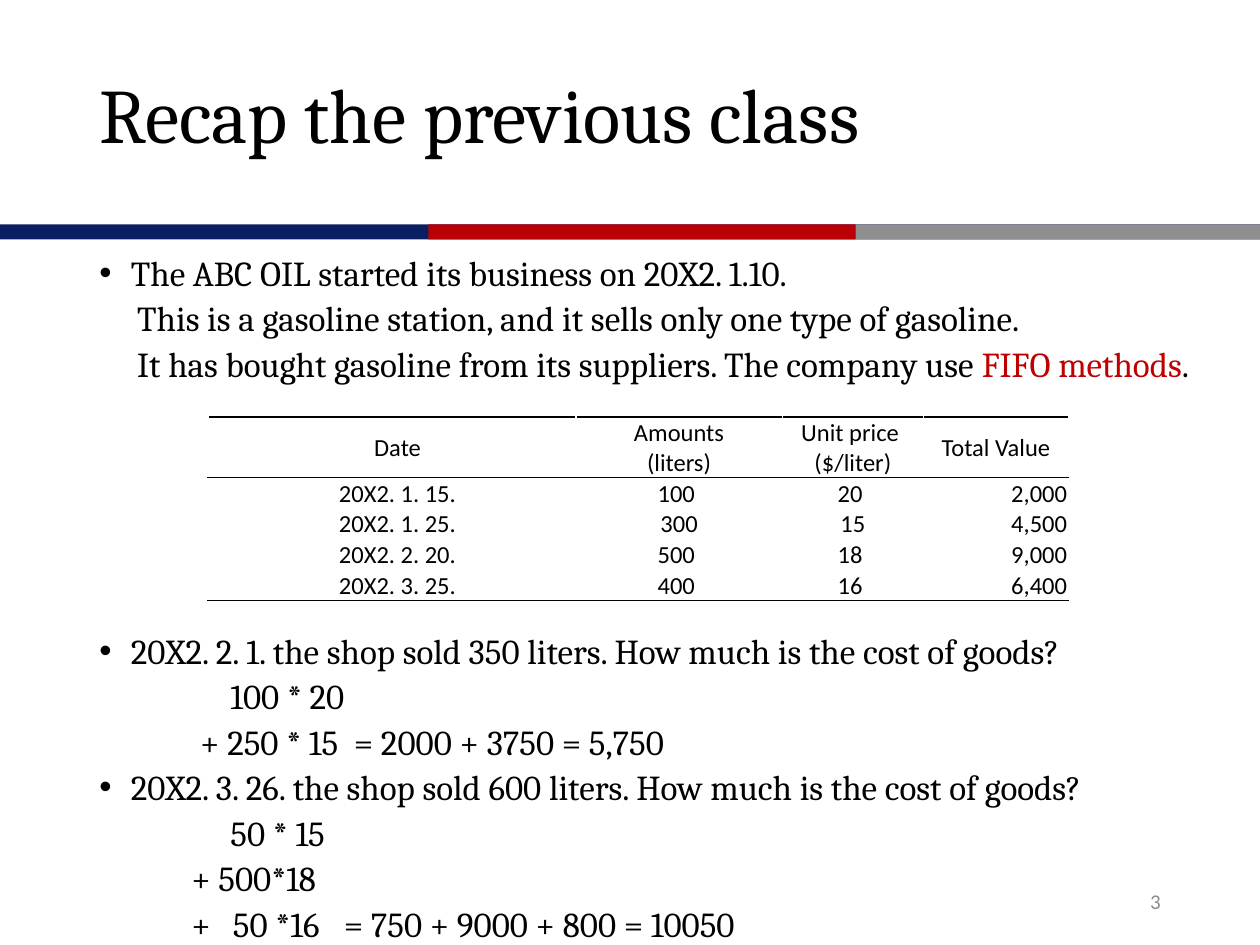
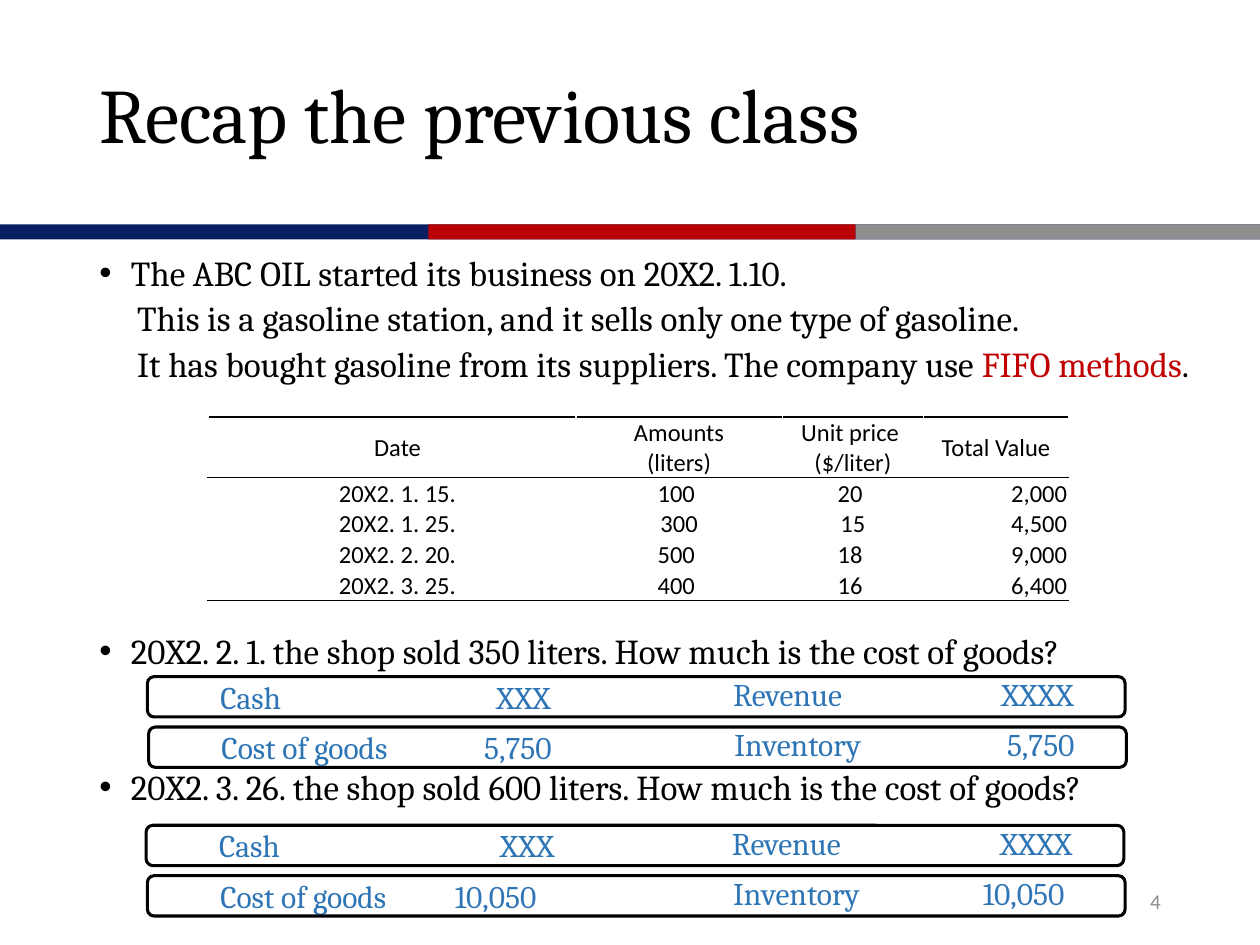
from dataclasses import dataclass
from typing import NamedTuple

from lxml.etree import SubElement as Sub
from pptx import Presentation
from pptx.dml.color import RGBColor as RGB
from pptx.enum.shapes import MSO_SHAPE as Form
from pptx.enum.text import MSO_ANCHOR as Anchor, PP_ALIGN as Align
from pptx.oxml.ns import qn
from pptx.util import Inches, Pt


@dataclass(frozen=True)
class Theme:
    serif: str = "Cambria"
    sans: str = "Calibri"
    black: str = "000000"
    white: str = "FFFFFF"
    navy: str = "0A1F62"
    red: str = "B90005"
    grey: str = "8F8F8F"
    hot: str = "C00000"
    blue: str = "2E75B6"
    pale: str = "8C8C8C"
    title: int = 44
    body: int = 20
    entry: int = 18
    cell: int = 14
    page: int = 12
    line: int = 20


class Box(NamedTuple):
    left: float
    top: float
    wide: float
    high: float


class Tab(NamedTuple):
    at: float
    side: str = "l"


@dataclass(frozen=True)
class Line:
    text: str
    left: float = 0
    dot: bool = False
    tabs: tuple[Tab, ...] = ()
    hot: str = ""
    gap: float = 3


class Band(NamedTuple):
    left: float
    wide: float
    color: str


class Side(NamedTuple):
    name: str
    sum: str
    stop: float


class Entry(NamedTuple):
    left: float
    top: float
    debit: Side
    credit: Side


THEME = Theme()
BANDS = (Band(0, 10, THEME.navy), Band(3.4, 3.39, THEME.red), Band(6.79, 3.21, THEME.grey))
INTRO = (
    Line("The ABC OIL started its business on 20X2. 1.10.", dot=True),
    Line("This is a gasoline station, and it sells only one type of gasoline.", 0.3),
    Line("It has bought gasoline from its suppliers. The company use FIFO methods.",
         0.3, hot="FIFO methods"),
)
FIRST = "20X2. 2. 1. the shop sold 350 liters. How much is the cost of goods?"
SECOND = "20X2. 3. 26. the shop sold 600 liters. How much is the cost of goods?"
SUMS = (
    Line(FIRST, dot=True),
    Line("100 * 20", 1.04),
    Line("\t+ 250 * 15\t= 2000 + 3750 = 5,750", tabs=(Tab(0.8), Tab(2.02))),
    Line(SECOND, dot=True),
    Line("50 * 15", 1.04),
    Line("+ 500*18", 0.73),
    Line("\t+\t50 *16\t= 750 + 9000 + 800 = 10050",
         tabs=(Tab(0.73), Tab(1.06), Tab(1.94))),
)
ASKS = (Line(FIRST, dot=True), Line(SECOND, dot=True, gap=55))
ENTRIES = (
    Entry(1.17, 5.37, Side("Cash", "XXX", 2.62), Side("Revenue", "XXXX", 2.7)),
    Entry(1.18, 5.77, Side("Cost of goods", "5,750", 2.62), Side("Inventory", "5,750", 2.7)),
    Entry(1.16, 6.55, Side("Cash", "XXX", 2.66), Side("Revenue", "XXXX", 2.7)),
    Entry(1.17, 6.95, Side("Cost of goods", "10,050", 2.51), Side("Inventory", "10,050", 2.63)),
)
COLS = (2.92, 1.64, 1.12, 1.15)
ROWS = (
    ("Date", "Amounts\n(liters)", "Unit price \n($/liter)", "Total Value"),
    ("20X2. 1. 15.", "100 ", "20 ", "2,000"),
    ("20X2. 1. 25.", "300", "15", "4,500"),
    ("20X2. 2. 20.", "500 ", "18 ", "9,000"),
    ("20X2. 3. 25.", "400 ", "16 ", "6,400"),
)


def write(frame, lines: tuple[Line, ...], *, size: int, font: str = THEME.serif,
          color: str = THEME.black, align=Align.LEFT, anchor=Anchor.TOP,
          pitch: int | None = None, after: float = 0) -> None:
    """Fill a text frame with formatted lines."""
    frame.word_wrap = True
    frame.vertical_anchor = anchor
    for i, line in enumerate(lines):
        para = frame.paragraphs[0] if i == 0 else frame.add_paragraph()
        props = para._p.get_or_add_pPr()
        if line.dot:
            props.set("marL", str(Inches(0.25)))
            props.set("indent", str(Inches(-0.25)))
            Sub(props, qn("a:buFont"), typeface="Arial")
            Sub(props, qn("a:buChar"), char="•")
        elif line.left:
            props.set("marL", str(Inches(line.left)))
        if line.tabs:
            stops = Sub(props, qn("a:tabLst"))
            for tab in line.tabs:
                Sub(stops, qn("a:tab"), pos=str(Inches(tab.at)), algn=tab.side)
        para.alignment = align
        if pitch:
            para.line_spacing = Pt(pitch)
            para.space_before = Pt(line.gap if i else 0)
            para.space_after = Pt(after)
        parts = line.text.partition(line.hot) if line.hot else (line.text,)
        for part in parts:
            run = para.add_run()
            run.text = part
            run.font.name = font
            run.font.size = Pt(size)
            run.font.color.rgb = RGB.from_string(
                THEME.hot if part == line.hot else color)


def label(slide, box: Box, *lines: Line, **fmt) -> None:
    """Add a text box."""
    write(slide.shapes.add_textbox(*map(Inches, box)).text_frame, lines, **fmt)


def shape(slide, form, box: Box, fill: str | None = None) -> None:
    """Add a filled band or an outlined frame."""
    item = slide.shapes.add_shape(form, *map(Inches, box))
    item.shadow.inherit = False
    if fill:
        item.fill.solid()
        item.fill.fore_color.rgb = RGB.from_string(fill)
        item.line.fill.background()
    else:
        item.fill.background()
        item.line.color.rgb = RGB.from_string(THEME.black)
        item.line.width = Pt(1.75)


def edge(cell, **sides: str) -> None:
    """Draw the borders of a cell."""
    props = cell._tc.get_or_add_tcPr()
    for side, color in sides.items():
        line = Sub(props, qn(f"a:ln{side}"), w=str(Pt(1)))
        Sub(Sub(line, qn("a:solidFill")), qn("a:srgbClr"), val=color)


def stock(slide) -> None:
    """Add the table of purchases."""
    box = map(Inches, Box(1.65, 3.31, sum(COLS), 1.45))
    table = slide.shapes.add_table(len(ROWS), len(COLS), *box).table
    table.first_row = table.horz_banding = False
    for col, wide in zip(table.columns, COLS):
        col.width = Inches(wide)
    last = len(ROWS) - 1
    for r, row in enumerate(ROWS):
        table.rows[r].height = Inches(0.24 if r else 0.48)
        for c, text in enumerate(row):
            cell = table.cell(r, c)
            cell.margin_left = Inches(0.01 if c else 0.1)
            cell.margin_right = cell.margin_top = Inches(0.01)
            cell.margin_bottom = 0
            cell.vertical_anchor = Anchor.MIDDLE
            edge(cell, L=THEME.white, R=THEME.white,
                 T=THEME.black if r < 2 else THEME.white,
                 B=THEME.black if r in (0, last) else THEME.white)
            cell.fill.background()
            right = r and c == len(COLS) - 1
            write(cell.text_frame, tuple(map(Line, text.split("\n"))),
                  size=THEME.cell, font=THEME.sans, anchor=Anchor.MIDDLE,
                  align=Align.RIGHT if right else Align.CENTER)


def post(slide, entry: Entry) -> None:
    """Add a framed journal entry."""
    sides = ((entry.debit, 0.48, 0.4, None), (entry.credit, 4.55, 0.38, THEME.line))
    for side, shift, high, pitch in sides:
        label(slide, Box(entry.left + shift, entry.top - 0.04, 3.2, high),
              Line(f"{side.name}\t{side.sum}", tabs=(Tab(side.stop, "r"),)),
              size=THEME.entry, color=THEME.blue, pitch=pitch)
    shape(slide, Form.ROUNDED_RECTANGLE, Box(entry.left, entry.top, 7.76, 0.32))


def recap(deck, page: int, lines: tuple[Line, ...], entries: tuple[Entry, ...] = ()) -> None:
    """Add a recap slide."""
    slide = deck.slides.add_slide(deck.slide_layouts[6])
    for band in BANDS:
        shape(slide, Form.RECTANGLE, Box(band.left, 1.78, band.wide, 0.12), band.color)
    label(slide, Box(0.69, 0.4, 8.98, 1.45), Line("Recap the previous class"),
          size=THEME.title, anchor=Anchor.MIDDLE, pitch=THEME.line)
    for top, high, text in ((2, 1.2, INTRO), (5, 2.35, lines)):
        label(slide, Box(0.69, top, 9.31, high), *text,
              size=THEME.body, pitch=THEME.line, after=3)
    label(slide, Box(7.06, 6.95, 2.25, 0.4), Line(str(page)), size=THEME.page,
          font=THEME.sans, color=THEME.pale, align=Align.RIGHT, anchor=Anchor.MIDDLE)
    stock(slide)
    for entry in entries:
        post(slide, entry)


def main() -> None:
    """Build the deck."""
    deck = Presentation()
    deck.slide_width, deck.slide_height = Inches(10), Inches(7.5)
    recap(deck, 3, SUMS)
    recap(deck, 4, ASKS, ENTRIES)
    deck.save("out.pptx")


if __name__ == "__main__":
    main()
